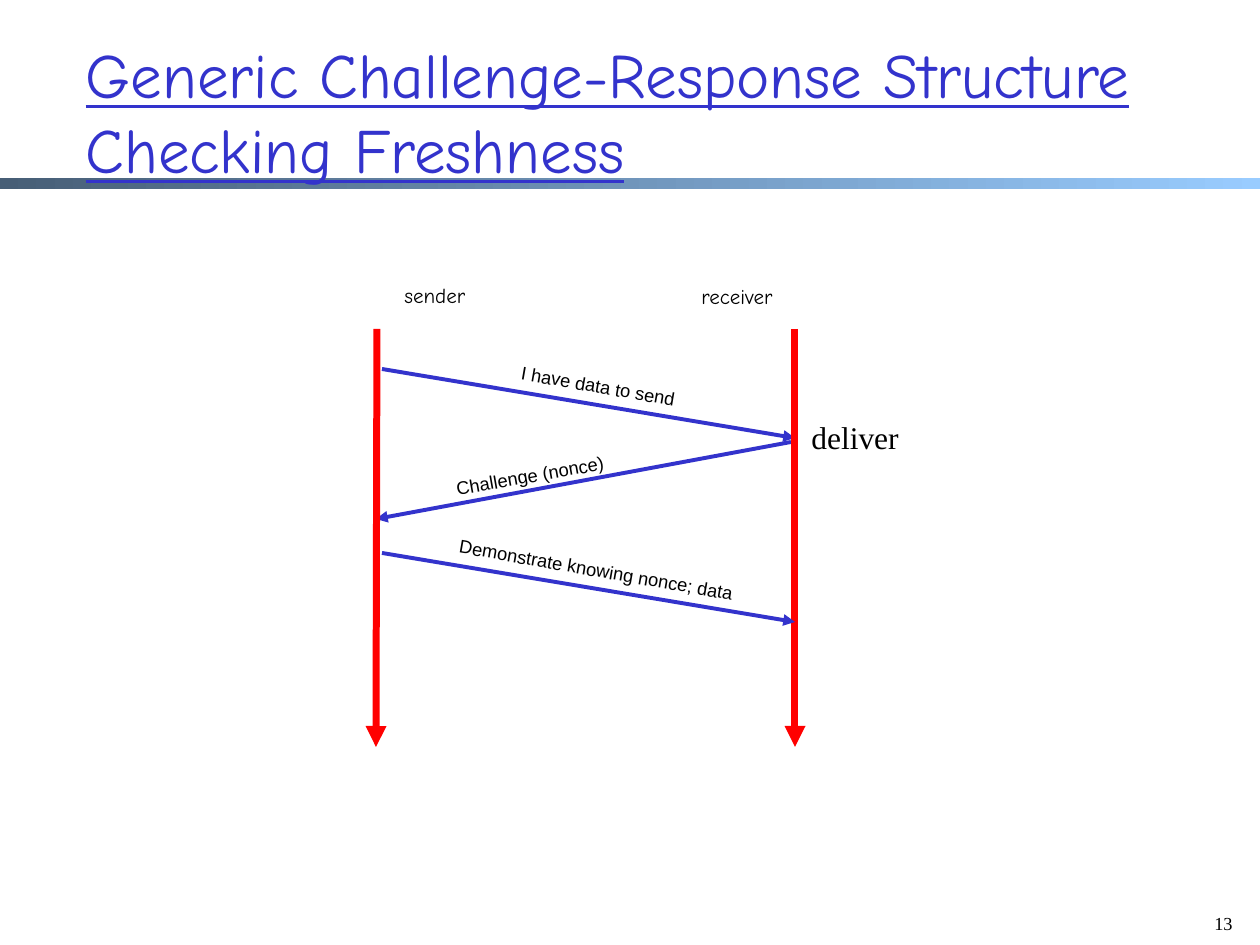
from lxml.etree import SubElement
from pptx import Presentation
from pptx.dml.color import RGBColor
from pptx.enum.shapes import MSO_CONNECTOR, MSO_SHAPE
from pptx.enum.text import MSO_ANCHOR, MSO_AUTO_SIZE, PP_ALIGN
from pptx.oxml.ns import qn
from pptx.util import Pt

SCALE = 914400 / 126
COLORS = {
    "blue": "3333CC",
    "red": "FF0000",
    "black": "000000",
    "band_dark": "475E76",
    "band_light": "99CCFF",
}


def px(*lengths):
    return [round(length * SCALE) for length in lengths]


def write(box, text, font, size, color, align=PP_ALIGN.LEFT, underline=None):
    paragraph = box.text_frame.paragraphs[0]
    paragraph.alignment = align
    span = paragraph.add_run()
    span.text = text
    values = {"name": font, "size": Pt(size), "underline": underline}
    for name, value in values.items():
        setattr(span.font, name, value)
    span.font.color.rgb = RGBColor.from_string(COLORS[color])


deck = Presentation()
deck.slide_width, deck.slide_height = px(1260, 945)
page = deck.slides.add_slide(deck.slide_layouts[5])

band = page.shapes.add_shape(MSO_SHAPE.RECTANGLE, *px(0, 178, 1260, 11))
band.shadow.inherit = False
band.line.fill.background()
band.fill.gradient()
band.fill.gradient_angle = 0
for stop, color in zip(band.fill.gradient_stops, ["band_dark", "band_light"]):
    stop.color.rgb = RGBColor.from_string(COLORS[color])
page.shapes._spTree.insert(2, band._element)

title = page.shapes.title
title.left, title.top, title.width, title.height = px(73, 32, 1071, 158)
title.text_frame.word_wrap = True
title.text_frame.auto_size = MSO_AUTO_SIZE.NONE
title.text_frame.vertical_anchor = MSO_ANCHOR.MIDDLE
write(title, "Generic Challenge-Response Structure Checking Freshness",
      "Comic Neue", 36, "blue", underline=True)

arrows = [
    (382, 369, 795, 438, "blue", 2.25),
    (791, 442, 376, 519, "blue", 2.25),
    (377, 329, 376, 747, "red", 4),
    (795, 329, 795, 747, "red", 4),
    (382, 553, 795, 622, "blue", 2.25),
]
for *ends, color, width in arrows:
    arrow = page.shapes.add_connector(MSO_CONNECTOR.STRAIGHT, *px(*ends))
    arrow.line.color.rgb = RGBColor.from_string(COLORS[color])
    arrow.line.width = Pt(width)
    SubElement(arrow.line._get_or_add_ln(), qn("a:tailEnd"), type="triangle")
    SubElement(arrow._element.spPr, qn("a:effectLst"))

labels = [
    ("sender", 392, 276, 93, 38, 0, "Comic Neue", 12, PP_ALIGN.LEFT),
    ("receiver", 689, 277, 108, 38, 0, "Comic Neue", 12, PP_ALIGN.LEFT),
    ("deliver", 799, 412, 113, 50, 0, "Times New Roman", 18, PP_ALIGN.LEFT),
    ("I have data to send", 508, 369, 184, 35, 10, "Arial", 10.5, PP_ALIGN.LEFT),
    ("Challenge (nonce)", 442, 449, 282, 35, 350, "Arial", 10.5, PP_ALIGN.LEFT),
    ("Demonstrate knowing nonce; data", 445, 553, 307, 35, 10, "Arial", 10.5, PP_ALIGN.LEFT),
    ("13", 1182, 906, 63, 63, 0, "Times New Roman", 10.5, PP_ALIGN.RIGHT),
]
for text, left, top, width, height, angle, font, size, align in labels:
    box = page.shapes.add_textbox(*px(left, top, width, height))
    box.rotation = angle
    box.text_frame.word_wrap = align == PP_ALIGN.RIGHT or angle == 350
    write(box, text, font, size, "black", align)

deck.save("out.pptx")
